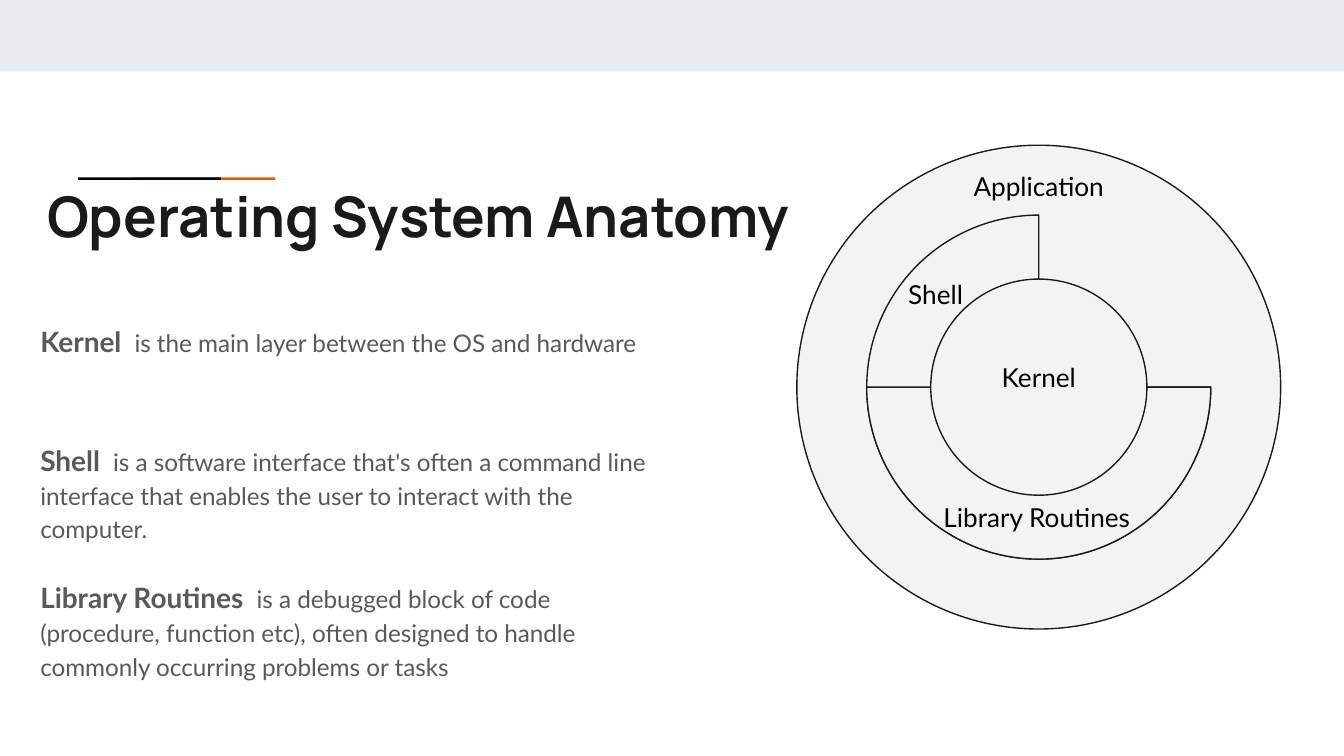
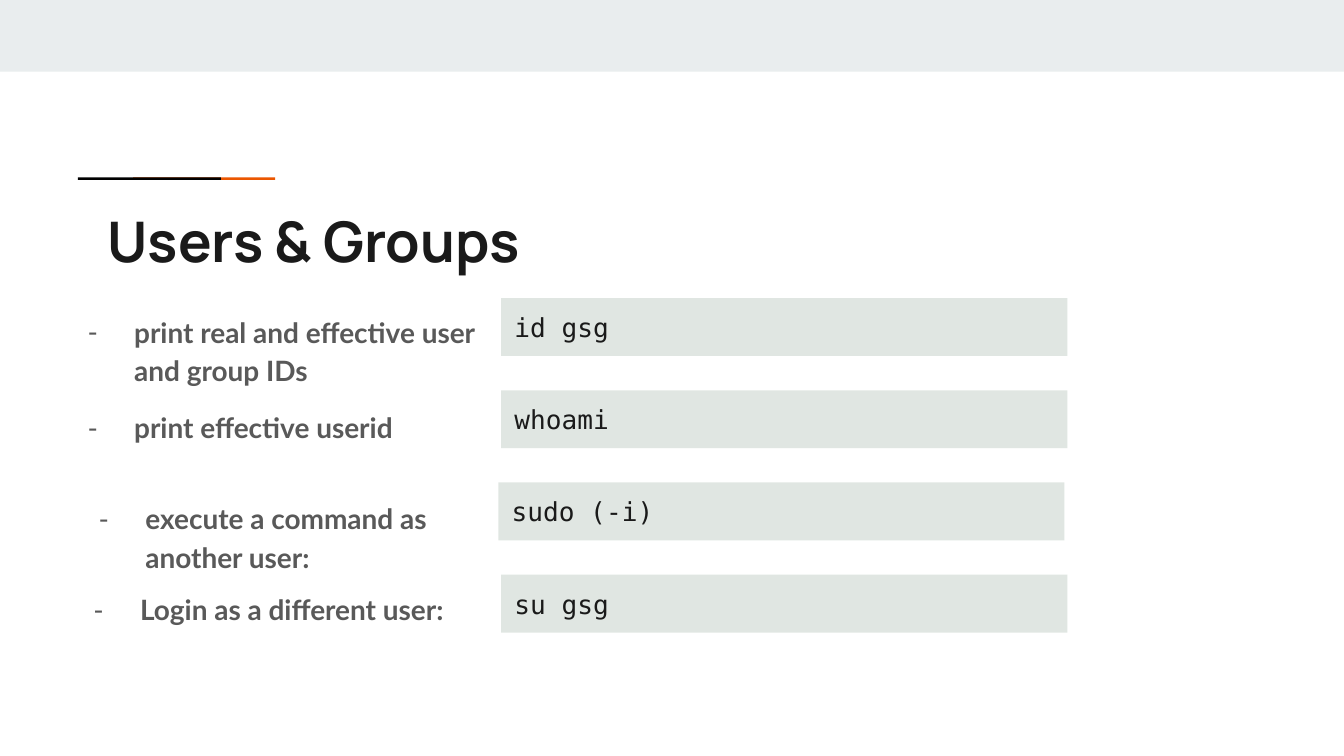
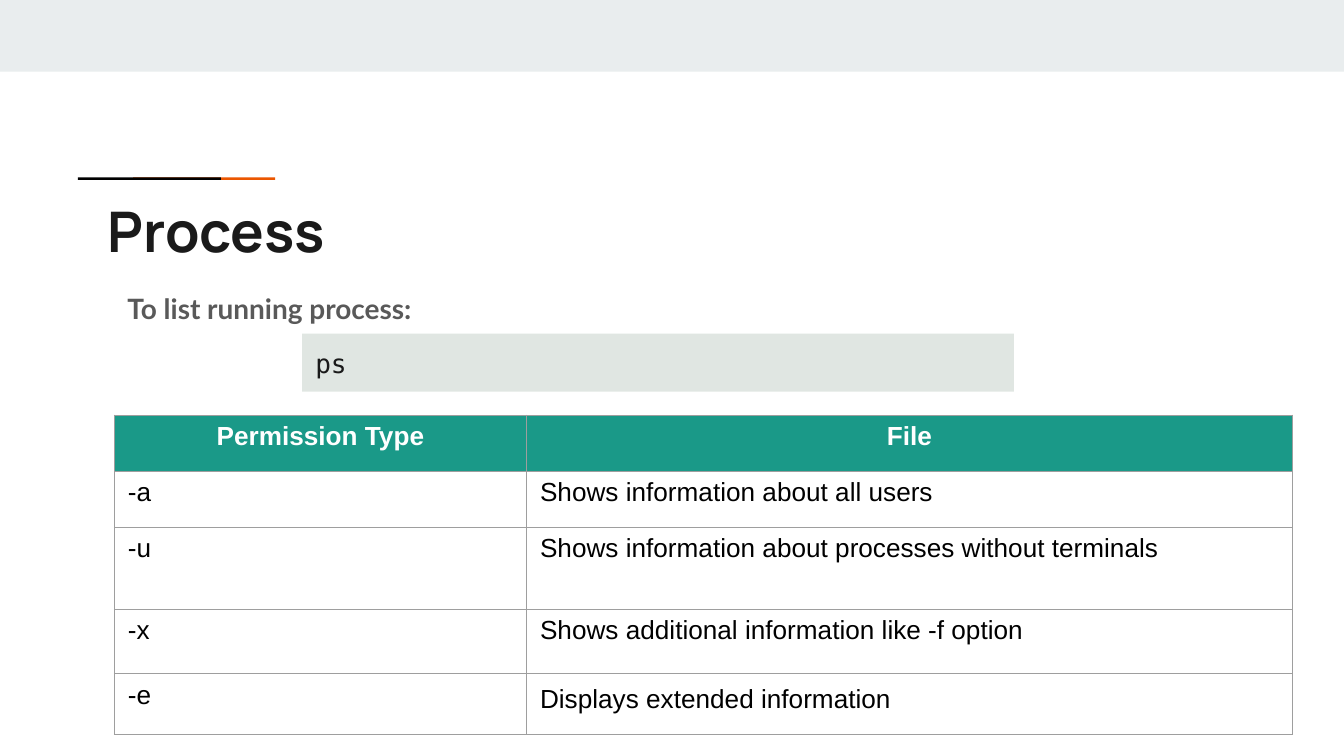
import pptx
import pptx.dml.color
import pptx.enum.shapes
import pptx.enum.text
import pptx.oxml.ns
import pptx.util
from lxml import etree

Pt = pptx.util.Pt
SHAPES = pptx.enum.shapes.MSO_SHAPE
ALIGN = pptx.enum.text.PP_ALIGN

COLORS = {
    "band": "E9EDEE",
    "accent": "EB5600",
    "black": "000000",
    "ink": "1A1A1A",
    "body": "595959",
    "disc": "F3F3F3",
    "code": "255235",
    "header": "1A9988",
    "border": "9E9E9E",
    "white": "FFFFFF",
}
BODY_FONT = "Lato"
CODE_FONT = "DejaVu Sans Mono"
ANATOMY_CENTER = (556.5, 207.4)
CODE_HEIGHT = 31


def color(name):
    return pptx.dml.color.RGBColor.from_string(COLORS[name])


def add_child(parent, tag, **attributes):
    return etree.SubElement(parent, pptx.oxml.ns.qn(tag), attributes)


def style(span, size, color_name, font=BODY_FONT, bold=False):
    span.font.size = Pt(size)
    span.font.name = font
    span.font.bold = bold
    span.font.color.rgb = color(color_name)


def set_insets(frame, side, top):
    frame.margin_left = frame.margin_right = Pt(side)
    frame.margin_top = frame.margin_bottom = Pt(top)


def add_filled(slide, kind, area, fill, line=None):
    shape = slide.shapes.add_shape(kind, *map(Pt, area))
    shape.shadow.inherit = False
    shape.fill.solid()
    shape.fill.fore_color.rgb = color(fill)
    if line:
        shape.line.color.rgb = color(line)
        shape.line.width = Pt(0.75)
    else:
        shape.line.fill.background()
    return shape


def add_text(slide, area, text, size, color_name, font=BODY_FONT, bold=False, side=7.2):
    """Add a one-paragraph text box and return its paragraph."""
    box = slide.shapes.add_textbox(*map(Pt, area))
    frame = box.text_frame
    frame.word_wrap = True
    set_insets(frame, side, 7.2)
    frame.text = text
    para = frame.paragraphs[0]
    for span in para.runs:
        style(span, size, color_name, font, bold)
    return para


def add_slide(deck, title, left, top, width):
    """Add a slide with the top band, the two-colour rule and its title."""
    slide = deck.slides.add_slide(deck.slide_layouts[6])
    add_filled(slide, SHAPES.RECTANGLE, (0, 0, 720, 38.4), "band")
    add_filled(slide, SHAPES.RECTANGLE, (71.3, 95, 76.2, 1.4), "accent")
    add_filled(slide, SHAPES.RECTANGLE, (41.7, 95, 76.7, 1.4), "black")
    add_text(slide, (left, top, width, 42.5), title, 30, "ink", "Manrope", True, side=0)
    return slide


def add_disc(slide, kind, diameter, end_angle=None):
    """Add a disc, or a pie running from 0 to end_angle, on the shared centre."""
    center_x, center_y = ANATOMY_CENTER
    area = (center_x - diameter / 2, center_y - diameter / 2, diameter, diameter)
    disc = add_filled(slide, kind, area, "disc", "ink")
    if end_angle is not None:
        disc.adjustments[0] = 0
        disc.adjustments[1] = end_angle * 0.6


def add_disc_label(slide, text, left, top, width):
    para = add_text(slide, (left, top, width, 31), text, 14, "black")
    para.alignment = ALIGN.CENTER


def add_definition(slide, top, term, meaning):
    para = add_text(slide, (21.6, top, 330, 54), term + " ", 15, "body", bold=True, side=0)
    para.line_spacing = 1.15
    for index, line in enumerate(meaning.split("\n")):
        if index:
            para.add_line_break()
        span = para.add_run()
        span.text = line if index else " " + line
        style(span, 13, "body")


def add_code(slide, left, top, width, command):
    box = add_filled(slide, SHAPES.RECTANGLE, (left, top, width, CODE_HEIGHT), "code")
    fill = box.fill._xPr.find(".//" + pptx.oxml.ns.qn("a:srgbClr"))
    add_child(fill, "a:alpha", val="14000")
    frame = box.text_frame
    frame.word_wrap = True
    set_insets(frame, 7.2, 7.2)
    frame.text = command
    para = frame.paragraphs[0]
    para.alignment = ALIGN.LEFT
    style(para.runs[0], 14, "ink", CODE_FONT)


def add_dash_item(slide, left, top, width, height, text):
    para = add_text(slide, (left, top, width, height), text, 15, "body", bold=True)
    para.line_spacing = 1.15
    properties = para._p.get_or_add_pPr()
    properties.set("marL", str(Pt(36)))
    properties.set("indent", str(Pt(-25)))
    bullet_color = add_child(properties, "a:buClr")
    add_child(bullet_color, "a:srgbClr", val=COLORS["body"])
    add_child(properties, "a:buFont", typeface=BODY_FONT)
    add_child(properties, "a:buChar", char="-")


def add_borders(cell):
    properties = cell._tc.get_or_add_tcPr()
    for side in ("L", "R", "T", "B"):
        line = add_child(properties, "a:ln" + side, w=str(Pt(0.75)))
        add_child(add_child(line, "a:solidFill"), "a:srgbClr", val=COLORS["border"])


def fill_cell(cell, text, is_header):
    add_borders(cell)
    cell.margin_left = cell.margin_right = Pt(7.2)
    cell.margin_top = cell.margin_bottom = Pt(3.6)
    cell.text = text
    para = cell.text_frame.paragraphs[0]
    if is_header:
        cell.fill.solid()
        cell.fill.fore_color.rgb = color("header")
        para.alignment = ALIGN.CENTER
    else:
        cell.fill.background()
    style(para.runs[0], 14, "white" if is_header else "black", "Arial", is_header)


def add_option_table(slide, left, top, widths, heights, rows):
    frame = slide.shapes.add_table(
        len(rows), len(widths), Pt(left), Pt(top), Pt(sum(widths)), Pt(sum(heights)))
    table = frame.table
    table.first_row = table.horz_banding = False
    for column, width in zip(table.columns, widths):
        column.width = Pt(width)
    for row_index, (height, texts) in enumerate(zip(heights, rows)):
        table.rows[row_index].height = Pt(height)
        for column_index, text in enumerate(texts):
            fill_cell(table.cell(row_index, column_index), text, row_index == 0)
    return table


def build_anatomy(deck):
    slide = add_slide(deck, "Operating System Anatomy", 25.2, 90, 425)
    add_disc(slide, SHAPES.OVAL, 259.2)
    for end_angle in (270, 180):
        add_disc(slide, SHAPES.PIE, 184.3, end_angle)
    add_disc(slide, SHAPES.OVAL, 115.8)
    for label in (
        ("Kernel", 525.5, 186.5, 62),
        ("Application", 509.5, 84, 94),
        ("Shell", 470.2, 142, 62),
        ("Library Routines", 497, 261.5, 117),
    ):
        add_disc_label(slide, *label)
    add_definition(slide, 164, "Kernel", "is the main layer between the OS and hardware")
    add_definition(
        slide, 227.5, "Shell",
        "is a software interface that's often a command line interface "
        "that enables the user to interact with the computer.")
    add_definition(
        slide, 301, "Library Routines",
        "is a debugged block of code\n(procedure, function etc), often designed "
        "to handle commonly occurring problems or tasks")


def build_users(deck):
    slide = add_slide(deck, "Users & Groups", 57.6, 103.7, 605.5)
    commands = (("id gsg", 268.5), ("whoami", 268.5), ("sudo (-i)", 267), ("su gsg", 268.5))
    for index, (command, left) in enumerate(commands):
        add_code(slide, left, 159.7 + 49.4 * index, 303.3, command)
    for item in (
        (28.8, 159, 247.5, 55.5, "print real and effective user and group IDs"),
        (28.8, 210.2, 234.5, 35, "print effective userid"),
        (34.8, 258.8, 215, 55.5, "execute a command as another user:"),
        (32, 307.5, 229, 35, "Login as a different user:"),
    ):
        add_dash_item(slide, *item)


def build_process(deck):
    slide = add_slide(deck, "Process", 57.6, 97.9, 605.5)
    table = add_option_table(
        slide, 61.3, 222.5, (220.8, 410.2), (30, 30, 44, 34.4, 32.6),
        (
            ("Permission Type", "File"),
            ("-a", "Shows information about all users"),
            ("-u", "Shows information about processes without terminals"),
            ("-x", "Shows additional information like -f option"),
            ("-e", "Displays extended information"),
        ))
    table.cell(4, 1).text_frame.paragraphs[0].line_spacing = 1.15
    para = add_text(
        slide, (61.2, 146, 409.7, 35), "To list running process:", 15, "body", bold=True)
    para.line_spacing = 1.15
    add_code(slide, 161.8, 178.8, 381.4, "ps")


def main():
    deck = pptx.Presentation()
    deck.slide_width, deck.slide_height = Pt(720), Pt(405)
    build_anatomy(deck)
    build_users(deck)
    build_process(deck)
    deck.save("out.pptx")


if __name__ == "__main__":
    main()
